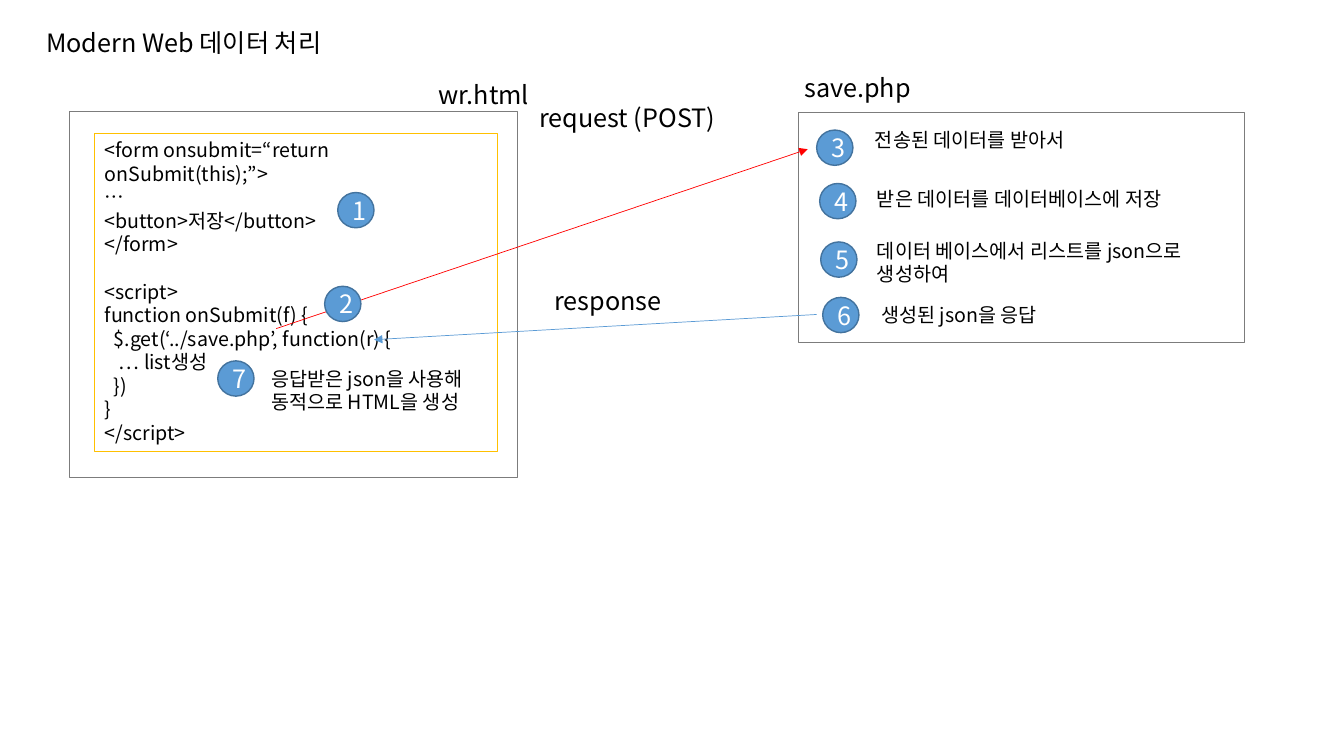
from pptx import Presentation
from pptx.dml.color import RGBColor
from pptx.enum.shapes import MSO_CONNECTOR as Connector, MSO_SHAPE as Shape
from pptx.enum.text import MSO_ANCHOR as Anchor, MSO_AUTO_SIZE as AutoSize, PP_ALIGN as Align
from pptx.oxml.ns import qn
from pptx.util import Inches, Pt
from lxml.etree import SubElement

FONT = "Noto Sans CJK KR"
BLACK = RGBColor(0x00, 0x00, 0x00)
WHITE = RGBColor(0xFF, 0xFF, 0xFF)
GRAY = RGBColor(0x7C, 0x7C, 0x7C)
GOLD = RGBColor(0xFF, 0xC0, 0x00)
RED = RGBColor(0xFF, 0x00, 0x00)
BLUE = RGBColor(0x5B, 0x9B, 0xD5)
DARK_BLUE = RGBColor(0x43, 0x73, 0x9E)

HEADINGS = [
    ("Modern Web 데이터 처리", 0.36, 0.22, 3.59, 0.4),
    ("wr.html", 4.25, 0.74, 1.14, 0.4),
    ("request (POST)", 5.25, 0.97, 2.52, 0.4),
    ("save.php", 7.88, 0.67, 1.26, 0.4),
    ("response", 5.4, 2.78, 1.33, 0.4),
]
EXPLANATIONS = [
    ("전송된 데이터를 받아서", 8.58, 1.22, 3.33, 0.34),
    ("받은 데이터를 데이터베이스에 저장", 8.6, 1.81, 3.33, 0.34),
    ("데이터 베이스에서 리스트를 json으로 생성하여", 8.6, 2.32, 3.33, 0.57),
    ("생성된 json을 응답", 8.64, 2.96, 3.33, 0.34),
    ("응답받은 json을 사용해 동적으로 HTML을 생성", 2.59, 3.59, 2.27, 0.57),
]
STEP_PLACES = [
    (3.35, 1.91), (3.22, 2.84), (8.1, 1.29), (8.13, 1.82),
    (8.14, 2.4), (8.16, 2.95), (2.16, 3.58),
]
CODE = [
    ("<form onsubmit=“return onSubmit(this);”>", 0, 0),
    ("…", 0, 0),
    ("<button>저장</button>", 0, 0),
    ("</form>", 0, 0),
    ("<script>", 0, 17),
    ("function onSubmit(f) {", 0, 0),
    ("$.get(‘../save.php’, function(r) {", 0.09, 0),
    ("… list생성", 0.14, 0),
    ("})", 0.09, 0),
    ("}", 0, 0),
    ("</script>", 0, 0),
]


def apply_format(target, values):
    """Set every attribute in values on target."""
    for attribute, value in values.items():
        setattr(target, attribute, value)


def write_line(paragraph, text, size, color=BLACK, align=Align.LEFT):
    """Write one formatted run into a paragraph."""
    apply_format(paragraph, {"alignment": align, "line_spacing": Pt(size * 1.2)})
    run = paragraph.add_run()
    run.text = text
    apply_format(run.font, {"name": FONT, "size": Pt(size)})
    run.font.color.rgb = color
    SubElement(run.font._element, qn("a:ea"), typeface=FONT)


def add_label(slide, text, place, size):
    """Add a wrapping text label."""
    label = slide.shapes.add_textbox(*map(Inches, place))
    apply_format(label.text_frame,
                 {"word_wrap": True, "auto_size": AutoSize.SHAPE_TO_FIT_TEXT})
    write_line(label.text_frame.paragraphs[0], text, size)


def add_outlined(slide, kind, place, line_color, line_width, fill=None):
    """Add a preset shape with a line and an optional fill."""
    shape = slide.shapes.add_shape(kind, *map(Inches, place))
    shape.shadow.inherit = False
    if fill is None:
        shape.fill.background()
    else:
        shape.fill.solid()
        shape.fill.fore_color.rgb = fill
    shape.line.color.rgb = line_color
    shape.line.width = Pt(line_width)
    return shape


def add_code(slide, place):
    """Add the framed source code of the page."""
    frame = add_outlined(slide, Shape.RECTANGLE, place, GOLD, 0.75).text_frame
    apply_format(frame, {"word_wrap": True, "vertical_anchor": Anchor.TOP})
    for index, (text, indent, gap) in enumerate(CODE):
        paragraph = frame.add_paragraph() if index else frame.paragraphs[0]
        write_line(paragraph, text, 14)
        paragraph.space_before = Pt(gap)
        properties = paragraph._p.get_or_add_pPr()
        properties.set("marL", str(Inches(indent)))
        properties.set("indent", "0")


def add_step(slide, number, left, top):
    """Add a numbered circle."""
    circle = add_outlined(slide, Shape.OVAL, (left, top, 0.36, 0.35), DARK_BLUE, 1, BLUE)
    circle.text_frame.vertical_anchor = Anchor.MIDDLE
    write_line(circle.text_frame.paragraphs[0], str(number), 18, WHITE, Align.CENTER)


def add_arrow(slide, start, end, color):
    """Add a thin arrow from start to end."""
    arrow = slide.shapes.add_connector(Connector.STRAIGHT, *map(Inches, start + end))
    arrow.line.color.rgb = color
    arrow.line.width = Pt(0.5)
    SubElement(arrow.line._get_or_add_ln(), qn("a:tailEnd"), type="triangle")
    SubElement(arrow._element.spPr, qn("a:effectLst"))


def main():
    """Build and save the data flow slide."""
    deck = Presentation()
    apply_format(deck, {"slide_width": Inches(13.33), "slide_height": Inches(7.5)})
    slide = deck.slides.add_slide(deck.slide_layouts[6])
    for page_frame in [(0.69, 1.11, 4.44, 3.63), (7.92, 1.12, 4.42, 2.28)]:
        add_outlined(slide, Shape.RECTANGLE, page_frame, GRAY, 0.75)
    add_code(slide, (0.94, 1.32, 3.99, 3.16))
    add_arrow(slide, (2.74, 3.26), (8.01, 1.48), RED)
    add_arrow(slide, (8.1, 3.12), (3.71, 3.37), BLUE)
    for labels, size in [(HEADINGS, 18), (EXPLANATIONS, 14)]:
        for text, *place in labels:
            add_label(slide, text, place, size)
    for number, (left, top) in enumerate(STEP_PLACES, start=1):
        add_step(slide, number, left, top)
    deck.save("out.pptx")


if __name__ == "__main__":
    main()
